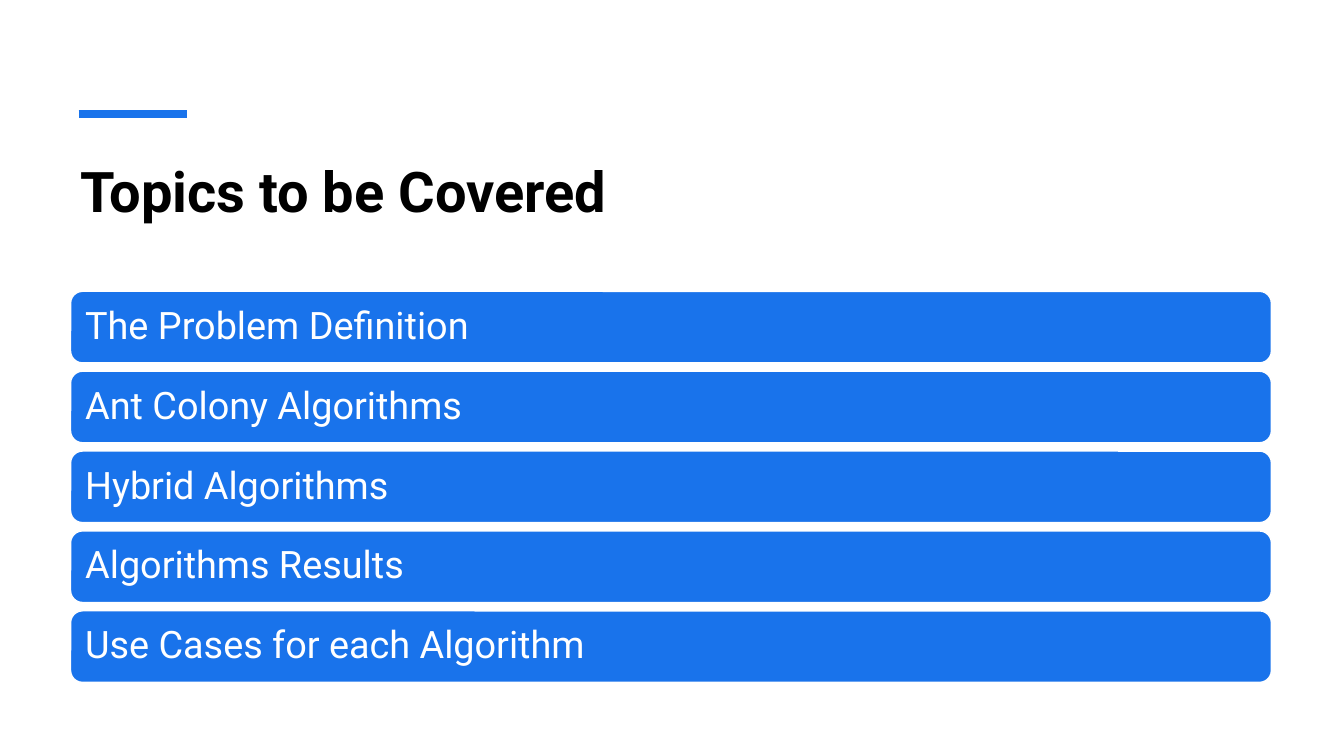
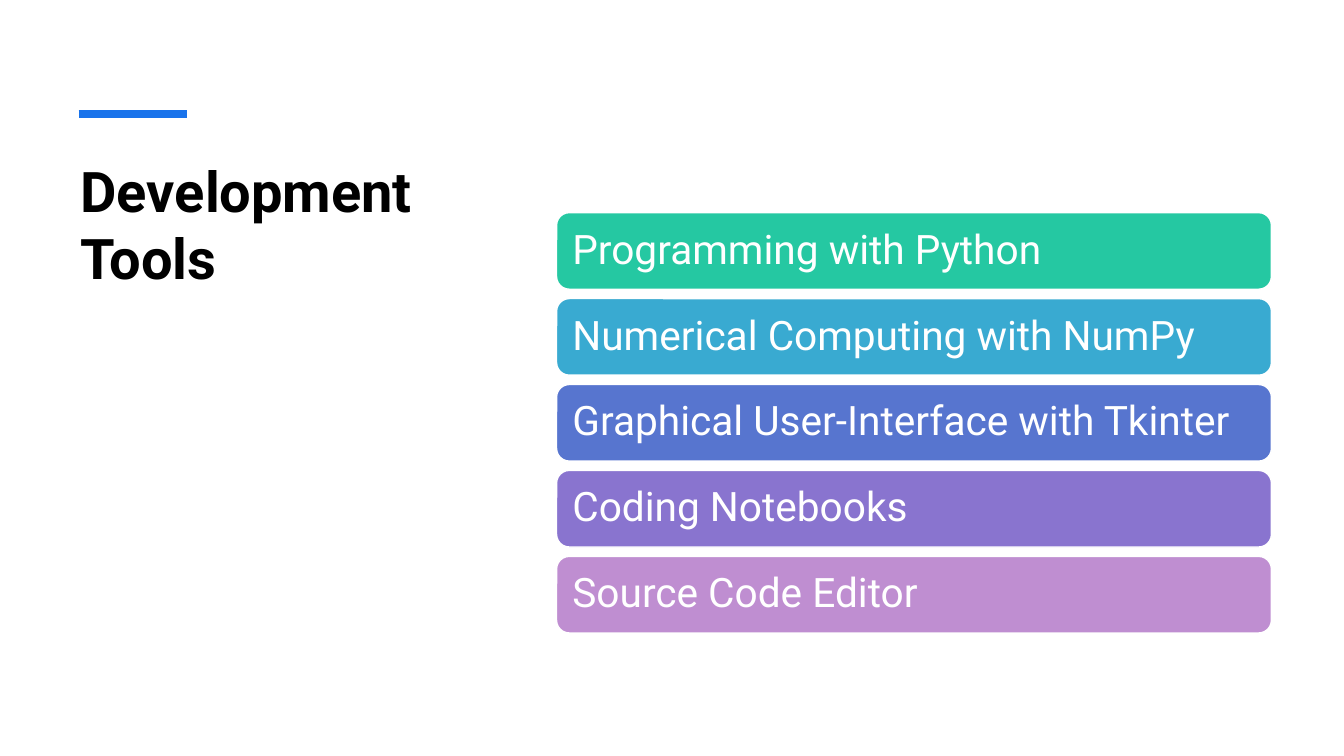
import pptx
import pptx.util
import pptx.dml.color
import pptx.enum.shapes
import pptx.enum.text
import pptx.oxml.ns
from lxml import etree

Inches = pptx.util.Inches
Pt = pptx.util.Pt
FONT = "Roboto"
BLUE = "1973EB"
WHITE = "FFFFFF"
BLACK = "000000"
LEFT = 0.7
RIGHT = 12.61


def color(hex_code):
    return pptx.dml.color.RGBColor.from_string(hex_code)


def style_text(paragraph, text, size, hex_code, bold=False):
    paragraph.text = text
    paragraph.alignment = pptx.enum.text.PP_ALIGN.LEFT
    paragraph.font.name = FONT
    paragraph.font.size = Pt(size)
    paragraph.font.bold = bold
    paragraph.font.color.rgb = color(hex_code)


topics = [
    ("The Problem Definition", BLUE),
    ("Ant Colony Algorithms", BLUE),
    ("Hybrid Algorithms", BLUE),
    ("Algorithms Results", BLUE),
    ("Use Cases for each Algorithm", BLUE),
]
tools = [
    ("Programming with Python", "25C8A2"),
    ("Numerical Computing with NumPy", "39AAD1"),
    ("Graphical User-Interface with Tkinter", "5775CF"),
    ("Coding Notebooks", "8974CF"),
    ("Source Code Editor", "BF8ED1"),
]
pages = [
    dict(title="Topics to be Covered", title_width=11.91, title_height=1.2, bars=topics,
         bar_left=LEFT, top=2.89, bottom=6.77, bar_height=0.71, size=27, inset=0.11),
    dict(title="Development Tools", title_width=4.02, title_height=4.29, bars=tools,
         bar_left=5.52, top=2.11, bottom=6.28, bar_height=0.76, size=29, inset=0.12),
]

deck = pptx.Presentation()
deck.slide_width = Inches(13.33)
deck.slide_height = Inches(7.5)

for page in pages:
    slide = deck.slides.add_slide(deck.slide_layouts[6])

    accent = slide.shapes.add_connector(
        pptx.enum.shapes.MSO_CONNECTOR.STRAIGHT,
        Inches(0.78), Inches(1.13), Inches(1.85), Inches(1.13))
    accent.line.color.rgb = color(BLUE)
    accent.line.width = Pt(6)
    etree.SubElement(accent._element.spPr, pptx.oxml.ns.qn("a:effectLst"))

    title = slide.shapes.add_textbox(
        Inches(LEFT), Inches(1.5), Inches(page["title_width"]), Inches(page["title_height"]))
    title.text_frame.word_wrap = True
    style_text(title.text_frame.paragraphs[0], page["title"], 40, BLACK, bold=True)

    step = (page["bottom"] - page["top"] - page["bar_height"]) / (len(page["bars"]) - 1)
    for row, (label, fill) in enumerate(page["bars"]):
        bar = slide.shapes.add_shape(
            pptx.enum.shapes.MSO_SHAPE.ROUNDED_RECTANGLE,
            Inches(page["bar_left"]), Inches(page["top"] + row * step),
            Inches(RIGHT - page["bar_left"]), Inches(page["bar_height"]))
        bar.shadow.inherit = False
        bar.fill.solid()
        bar.fill.fore_color.rgb = color(fill)
        bar.line.color.rgb = color(WHITE)
        bar.line.width = Pt(1)
        frame = bar.text_frame
        frame.word_wrap = True
        frame.vertical_anchor = pptx.enum.text.MSO_ANCHOR.MIDDLE
        frame.margin_left = frame.margin_right = Inches(page["inset"])
        frame.margin_top = frame.margin_bottom = Inches(page["inset"])
        style_text(frame.paragraphs[0], label, page["size"], WHITE)
        frame.paragraphs[0].line_spacing = 0.9

deck.save("out.pptx")
